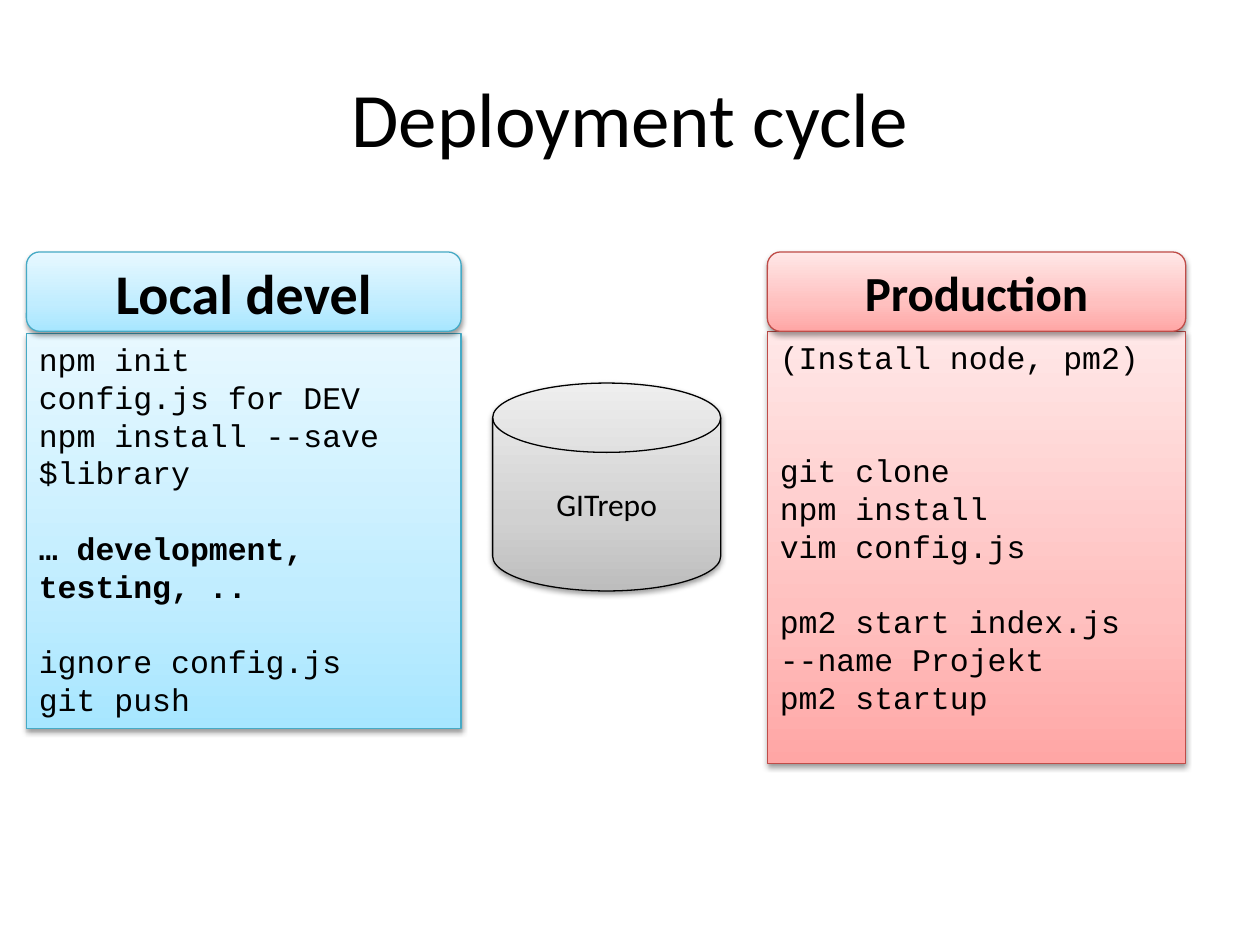
from lxml import etree
from pptx import Presentation, util as u
from pptx.dml.color import RGBColor
from pptx.enum import shapes, text
from pptx.oxml.ns import qn

TITLE = "Deployment cycle"
STORE = "GITrepo"
BLUE = ("46AAC5", ("A7E6FF", "C1EDFF", "E7F8FF"))
RED = ("BF4C48", ("FFA6A5", "FFC0BF", "FFE7E7"))
GREY = ("000000", ("BDBDBD", "D1D1D1", "EEEEEE"))
STOPS = (0, 35000, 100000)
LINE = 21.6  # points per line of commands
HEAD_TOP, HEAD_HEIGHT = 2, 0.63

# Commands: (text, empty lines above, bold)
STAGES = [
    dict(name="Local devel", size=32, palette=BLUE, left=0.21, width=3.45,
         top=2.65, height=3.13, commands=[
             ("npm init", 0, False),
             ("config.js for DEV", 0, False),
             ("npm install --save $library", 0, False),
             ("… development, testing, ..", 1, True),
             ("ignore config.js", 1, False),
             ("git push", 0, False)]),
    dict(name="Production", size=28, palette=RED, left=6.09, width=3.32,
         top=2.63, height=3.43, commands=[
             ("(Install node, pm2)", 0, False),
             ("git clone", 2, False),
             ("npm install", 0, False),
             ("vim config.js", 0, False),
             ("pm2 start index.js --name Projekt", 1, False),
             ("pm2 startup", 0, False)]),
]


def color(value):
    """Turn a hex string into a colour."""
    return RGBColor.from_string(value)


def add_color(parent, value):
    """Append an sRGB colour element."""
    return etree.SubElement(parent, qn("a:srgbClr"), val=value)


def style_para(para, size, face="Calibri", bold=False, align=text.PP_ALIGN.CENTER):
    """Set the font and alignment of a paragraph."""
    para.alignment = align
    para.font.size = u.Pt(size)
    para.font.name = face
    para.font.bold = bold
    para.font.color.rgb = color("000000")


def add_box(page, kind, left, top, width, height, palette):
    """Add a shape with an outline, an upward gradient and a soft shadow."""
    box = page.shapes.add_shape(kind, *map(u.Inches, (left, top, width, height)))
    outline, tints = palette
    box.fill.gradient()
    box.fill.gradient_angle = 90
    stops = box.element.spPr.find(qn("a:gradFill")).find(qn("a:gsLst"))
    for stop in list(stops):
        stops.remove(stop)
    for position, tint in zip(STOPS, tints):
        add_color(etree.SubElement(stops, qn("a:gs"), pos=str(position)), tint)
    box.line.color.rgb = color(outline)
    box.line.width = u.Pt(0.75)
    box.shadow.inherit = False
    effects = box.element.spPr.find(qn("a:effectLst"))
    shadow = etree.SubElement(effects, qn("a:outerShdw"), blurRad="40000",
                              dist="20000", dir="5400000", rotWithShape="0")
    etree.SubElement(add_color(shadow, "000000"), qn("a:alpha"), val="38000")
    box.text_frame.word_wrap = True
    return box


def add_label(box, words, size, bold=False):
    """Write one centred line into a shape."""
    box.text_frame.vertical_anchor = text.MSO_ANCHOR.MIDDLE
    para = box.text_frame.paragraphs[0]
    para.text = words
    style_para(para, size, bold=bold)


def add_commands(box, commands):
    """Write the commands from the top of a shape."""
    frame = box.text_frame
    frame.vertical_anchor = text.MSO_ANCHOR.TOP
    for index, (words, gap, bold) in enumerate(commands):
        para = frame.add_paragraph() if index else frame.paragraphs[0]
        para.text = words
        style_para(para, 18, "Courier New", bold, text.PP_ALIGN.LEFT)
        para.line_spacing = u.Pt(LINE)
        para.space_before = u.Pt(gap * LINE)


deck = Presentation()
deck.slide_width, deck.slide_height = u.Inches(10), u.Inches(7.5)
page = deck.slides.add_slide(deck.slide_layouts[5])

title = page.shapes.title
title.left, title.top, title.width, title.height = map(u.Inches, (0.5, 0.3, 9, 1.25))
add_label(title, TITLE, 44)

store = add_box(page, shapes.MSO_SHAPE.FLOWCHART_MAGNETIC_DISK,
                3.91, 3.04, 1.81, 1.65, GREY)
add_label(store, STORE, 18)

for stage in STAGES:
    body = add_box(page, shapes.MSO_SHAPE.RECTANGLE, stage["left"], stage["top"],
                   stage["width"], stage["height"], stage["palette"])
    add_commands(body, stage["commands"])
    head = add_box(page, shapes.MSO_SHAPE.ROUNDED_RECTANGLE, stage["left"], HEAD_TOP,
                   stage["width"], HEAD_HEIGHT, stage["palette"])
    add_label(head, stage["name"], stage["size"], bold=True)

deck.save("out.pptx")
